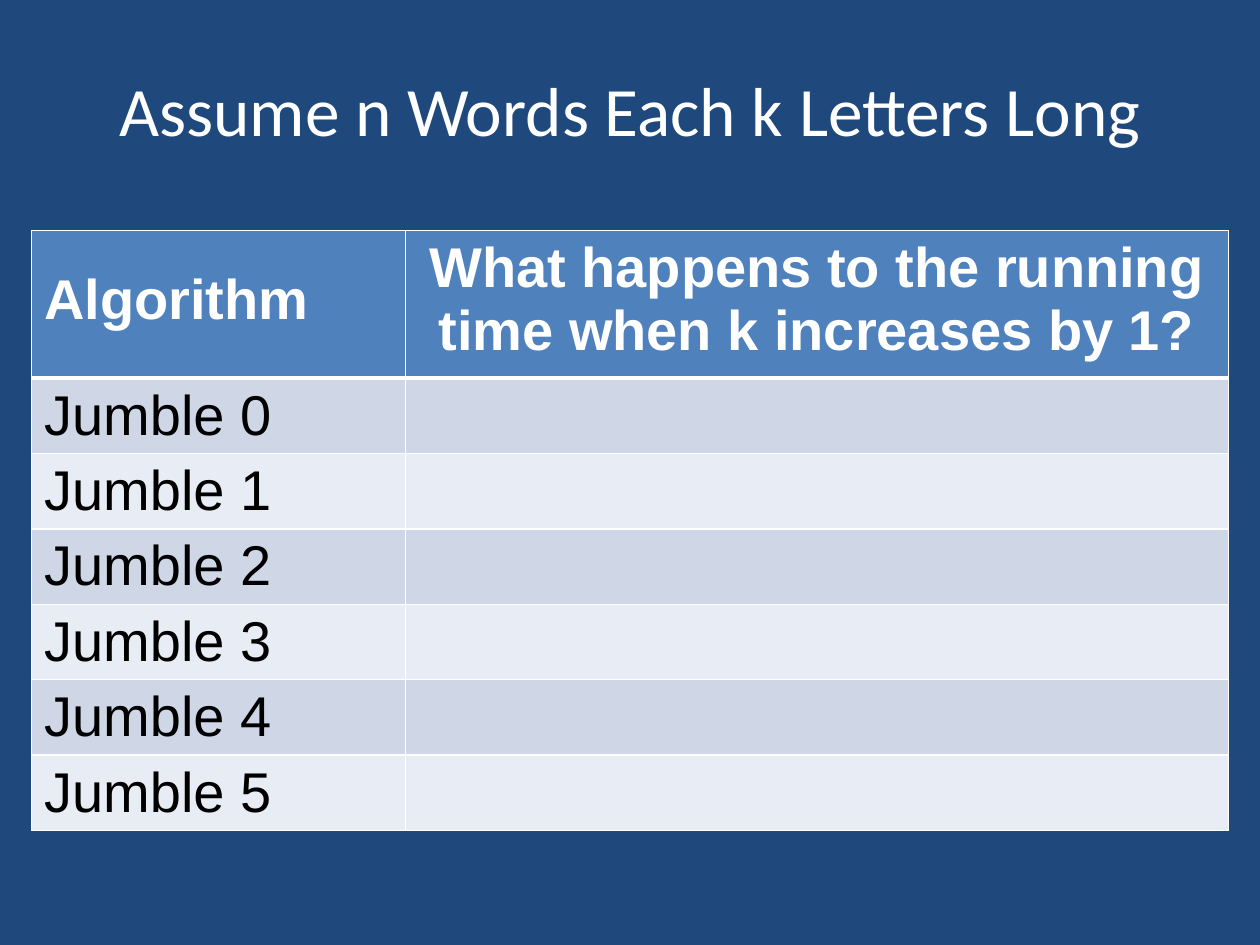
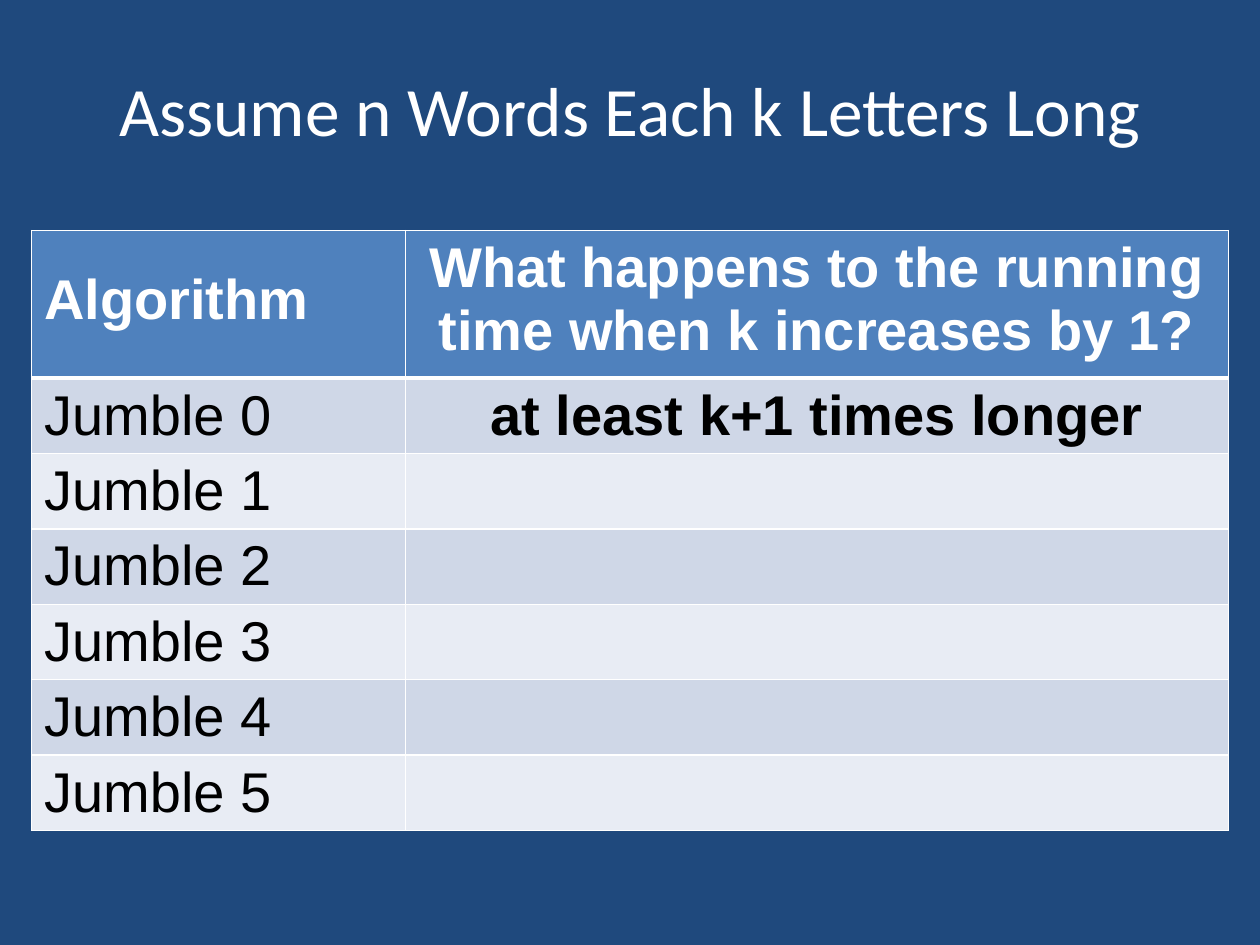
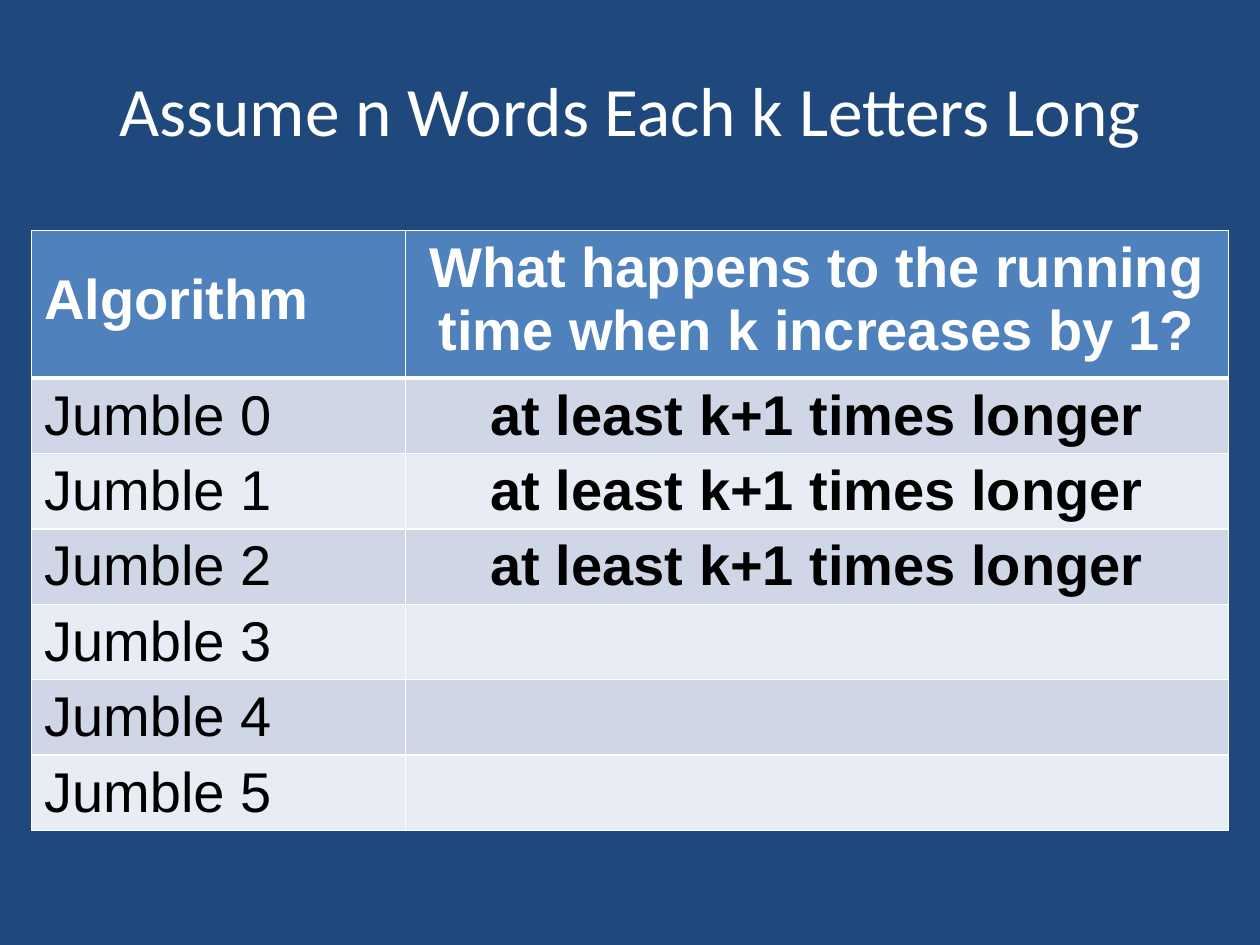
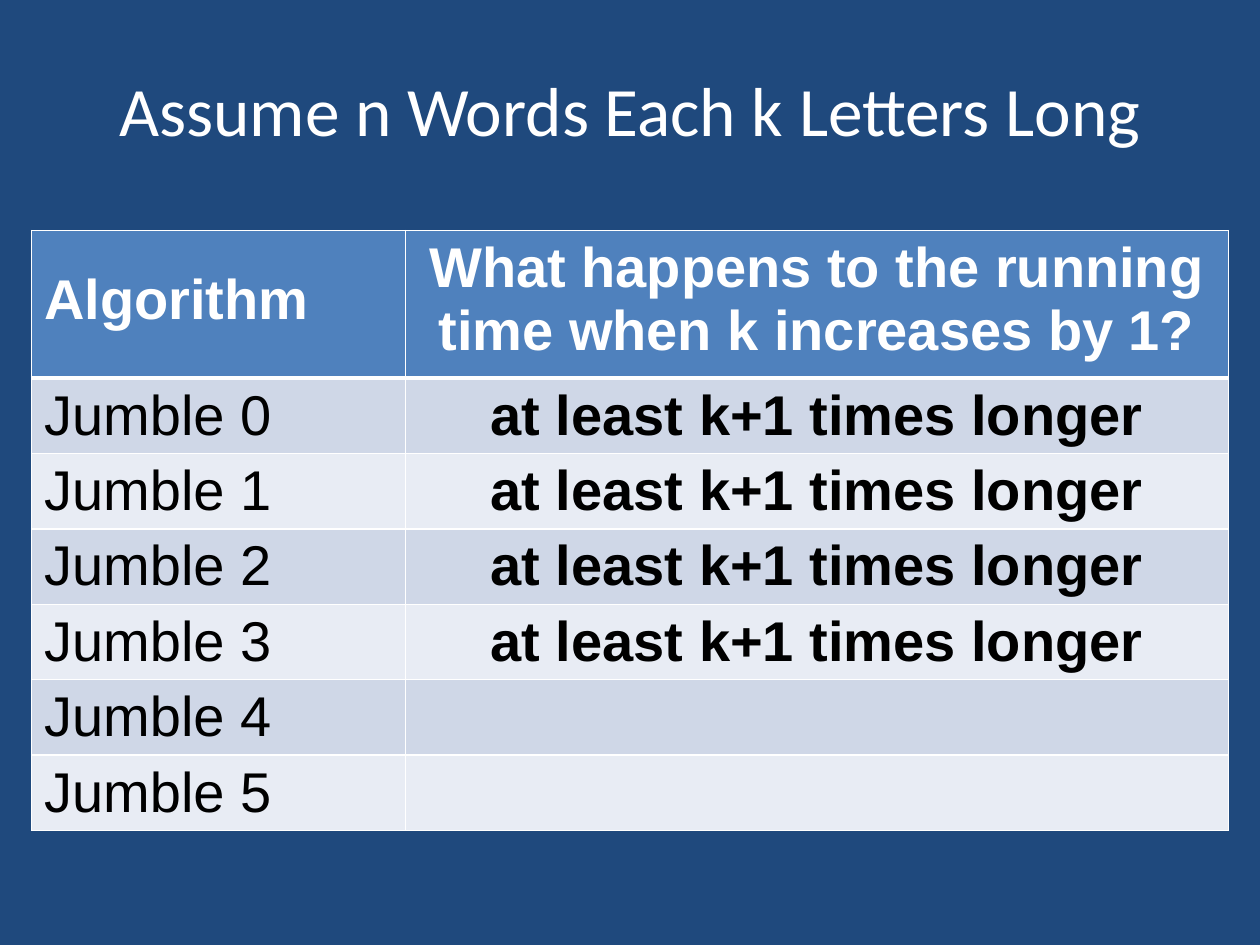
from lxml import etree
from pptx import Presentation, util as u
from pptx.dml.color import RGBColor
from pptx.enum import text
from pptx.oxml.ns import qn

# Shared look
NAVY, BLUE, WHITE, BLACK = "1F497D", "4F81BD", "FFFFFF", "000000"
BANDS = ("CFD7E7", "E8ECF4")
TITLE_FONT = {"name": "Calibri", "size": u.Pt(39.6), "bold": False}
HEADER_FONT = {"name": "Arial", "size": u.Pt(32), "bold": True}
LABEL_FONT = {**HEADER_FONT, "bold": False}
LEFT, CENTER = text.PP_ALIGN.LEFT, text.PP_ALIGN.CENTER

# Shared content
TITLE = "Assume n Words Each k Letters Long"
HEADERS = ("Algorithm", "What happens to the running time when k increases by 1?")
ALGORITHMS = [f"Jumble {number}" for number in range(6)]
ANSWER = "at least k+1 times longer"
ANSWERS_SHOWN = (0, 1, 3, 4)  # answers revealed on each slide

COLUMN_WIDTHS = (2.97, 6.53)
HEADER_HEIGHT, ROW_HEIGHT = 1.17, 0.41


def color(value):
    return RGBColor.from_string(value)


def write(para, words, font, ink, align):
    para.alignment = align
    span = para.add_run()
    span.text = words
    for name, value in font.items():
        setattr(span.font, name, value)
    span.font.color.rgb = color(ink)


def set_borders(cell, widths):
    """Draw white cell edges; widths maps an edge (L, R, T, B) to points."""
    properties = cell._tc.get_or_add_tcPr()
    for edge, points in widths.items():
        line = etree.SubElement(properties, qn(f"a:ln{edge}"), w=str(u.Pt(points)))
        fill = etree.SubElement(line, qn("a:solidFill"))
        etree.SubElement(fill, qn("a:srgbClr"), val=WHITE)


def format_cell(cell, words, fill, font, ink, align, borders):
    set_borders(cell, borders)
    cell.fill.solid()
    cell.fill.fore_color.rgb = color(fill)
    if words:
        write(cell.text_frame.paragraphs[0], words, font, ink, align)


def add_title(page):
    box = page.shapes.title
    place = {"left": 0.5, "top": 0.47, "width": 9, "height": 0.78}
    for name, value in place.items():
        setattr(box, name, u.Inches(value))
    box.text_frame.vertical_anchor = text.MSO_ANCHOR.MIDDLE
    write(box.text_frame.paragraphs[0], TITLE, TITLE_FONT, WHITE, CENTER)


def add_running_times(page, shown):
    height = HEADER_HEIGHT + ROW_HEIGHT * len(ALGORITHMS)
    table = page.shapes.add_table(
        len(ALGORITHMS) + 1, len(HEADERS), u.Inches(0.25), u.Inches(1.83),
        u.Inches(sum(COLUMN_WIDTHS)), u.Inches(height)).table
    for column, width in zip(table.columns, COLUMN_WIDTHS):
        column.width = u.Inches(width)
    for index, row in enumerate(table.rows):
        row.height = u.Inches(ROW_HEIGHT if index else HEADER_HEIGHT)

    # Header row, with a thick rule below it
    for index, words in enumerate(HEADERS):
        format_cell(table.cell(0, index), words, BLUE, HEADER_FONT, WHITE,
                    CENTER if index else LEFT, {"L": 1, "R": 1, "T": 1, "B": 3})
    table.cell(0, 0).margin_top = u.Inches(0.3)

    # One banded row for each algorithm
    for index, algorithm in enumerate(ALGORITHMS):
        band = BANDS[index % 2]
        borders = {"L": 1, "R": 1, "T": 1 if index else 3, "B": 1}
        answer = ANSWER if index < shown else ""
        format_cell(table.cell(index + 1, 0), algorithm, band, LABEL_FONT, BLACK,
                    LEFT, borders)
        format_cell(table.cell(index + 1, 1), answer, band, HEADER_FONT, BLACK,
                    CENTER, borders)


def main():
    deck = Presentation()
    deck.slide_width, deck.slide_height = u.Inches(10), u.Inches(7.5)
    backdrop = deck.slide_master.background.fill
    backdrop.solid()
    backdrop.fore_color.rgb = color(NAVY)
    title_only = deck.slide_layouts.get_by_name("Title Only")
    for shown in ANSWERS_SHOWN:
        page = deck.slides.add_slide(title_only)
        add_title(page)
        add_running_times(page, shown)
    deck.save("out.pptx")


if __name__ == "__main__":
    main()
